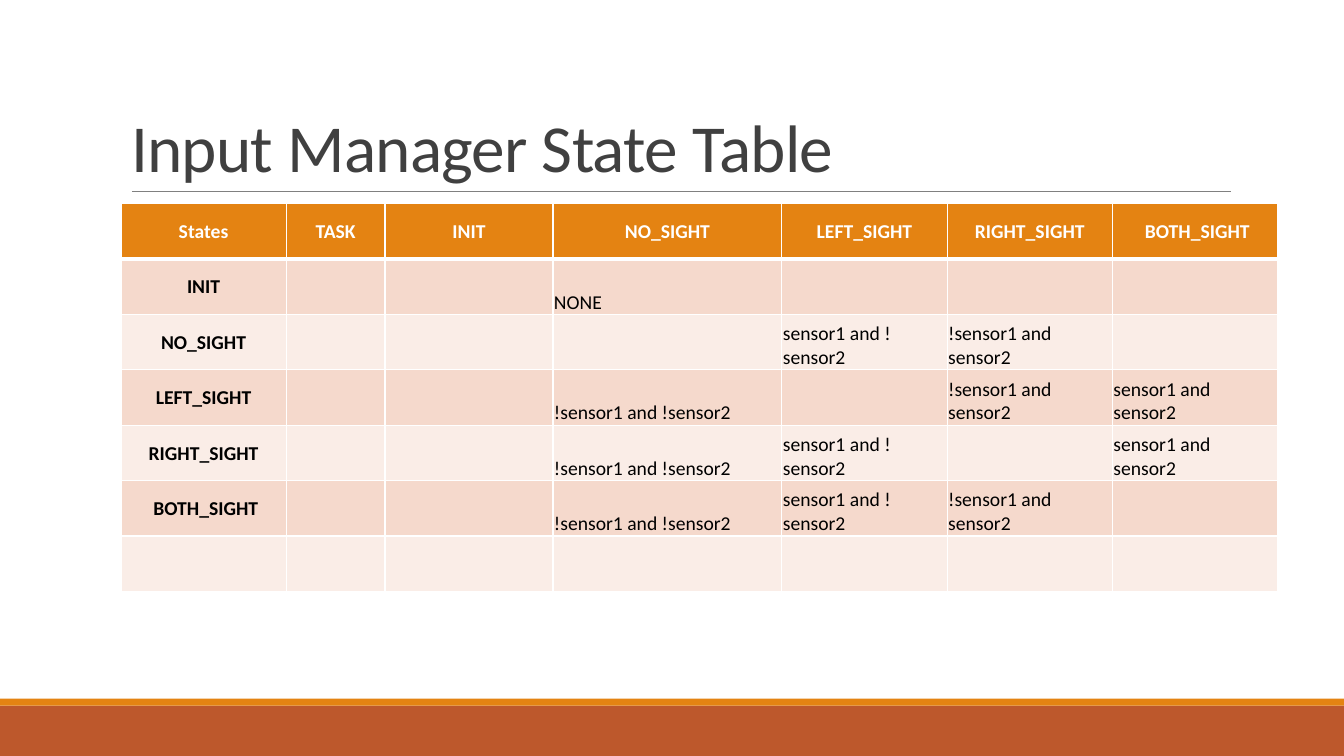
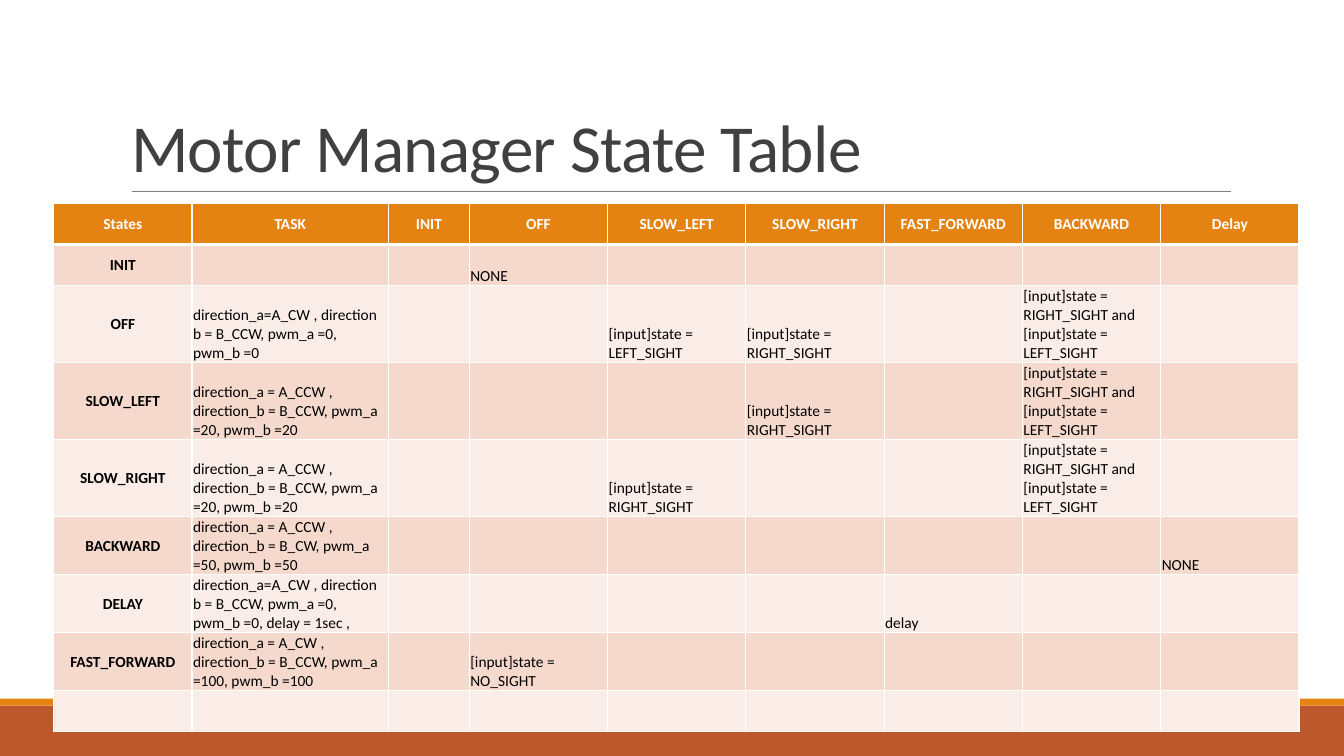
from lxml import etree
from pptx import Presentation
from pptx.dml.color import RGBColor
from pptx.enum.shapes import MSO_CONNECTOR, MSO_SHAPE
from pptx.enum.text import MSO_ANCHOR, PP_ALIGN
from pptx.oxml.ns import qn
from pptx.util import Inches, Pt

STRAIGHT = MSO_CONNECTOR.STRAIGHT
RECTANGLE = MSO_SHAPE.RECTANGLE
MIDDLE, BOTTOM = MSO_ANCHOR.MIDDLE, MSO_ANCHOR.BOTTOM
LEFT, CENTER = PP_ALIGN.LEFT, PP_ALIGN.CENTER

WHITE = RGBColor(0xFF, 0xFF, 0xFF)
BLACK = RGBColor(0x00, 0x00, 0x00)
CHARCOAL = RGBColor(0x40, 0x40, 0x40)
GRAY = RGBColor(0x80, 0x80, 0x80)
ORANGE = RGBColor(0xE4, 0x83, 0x12)
RUST = RGBColor(0xBD, 0x58, 0x2C)
PEACH = RGBColor(0xF5, 0xD9, 0xCC)
BLUSH = RGBColor(0xFA, 0xED, 0xE7)

FONT = "Calibri"
TITLE_ONLY = 5
CELL_INSET = Inches(0.01)


class Deck:
    def __init__(self):
        self.presentation = Presentation()
        self.presentation.slide_width = Inches(13.33)
        self.presentation.slide_height = Inches(7.5)
        self.slide = None

    def across(self, percent):
        return round(self.presentation.slide_width * percent / 100)

    def down(self, percent):
        return round(self.presentation.slide_height * percent / 100)

    def place(self, left, top, width, height):
        return self.across(left), self.down(top), self.across(width), self.down(height)

    def add_slide(self, title):
        layout = self.presentation.slide_layouts[TITLE_ONLY]
        self.slide = self.presentation.slides.add_slide(layout)
        self.add_band(93.33, 6.67, RUST)
        self.add_band(92.4, 0.93, ORANGE)
        self.add_rule(9.82, 91.58, 25.33)
        self.set_title(title)

    def add_band(self, top, height, color):
        band = self.slide.shapes.add_shape(RECTANGLE, *self.place(0, top, 100, height))
        band.shadow.inherit = False
        band.fill.solid()
        band.fill.fore_color.rgb = color
        band.line.fill.background()

    def add_rule(self, start, end, top):
        rule = self.slide.shapes.add_connector(
            STRAIGHT, self.across(start), self.down(top), self.across(end), self.down(top))
        rule.line.color.rgb = GRAY
        rule.line.width = Pt(0.5)
        etree.SubElement(rule._element.spPr, qn("a:effectLst"))

    def set_title(self, text):
        title = self.slide.shapes.title
        title.left, title.top, title.width, title.height = self.place(9, 4.1, 82.5, 21.2)
        title.text_frame.text = text
        title.text_frame.word_wrap = True
        title.text_frame.vertical_anchor = BOTTOM
        paragraph = title.text_frame.paragraphs[0]
        paragraph.line_spacing = 0.85
        self.format_paragraph(paragraph, 48, CHARCOAL, False, LEFT)
        paragraph.runs[0]._r.get_or_add_rPr().set("spc", "-50")

    def format_paragraph(self, paragraph, size, color, bold, alignment):
        paragraph.alignment = alignment
        font = paragraph.font
        font.name, font.size, font.bold = FONT, Pt(size), bold
        font.color.rgb = color

    def add_state_table(self, left, widths, row_height, size, headings, states):
        rows = [(headings[0], dict(enumerate(headings[1:], 1))), *states, ("", {})]
        frame = self.slide.shapes.add_table(
            len(rows), len(widths),
            *self.place(left, 26.93, sum(widths), row_height * len(rows)))
        table = frame.table
        for column, width in zip(table.columns, widths):
            column.width = self.across(width)
        for row_index, (state, entries) in enumerate(rows):
            table.rows[row_index].height = self.down(row_height)
            for column_index in range(len(widths)):
                text = entries.get(column_index, "") if column_index else state
                cell = table.cell(row_index, column_index)
                self.format_cell(cell, text, size, row_index, column_index)

    def format_cell(self, cell, text, size, row_index, column_index):
        heading = row_index == 0
        self.add_borders(cell, row_index)
        cell.fill.solid()
        cell.fill.fore_color.rgb = ORANGE if heading else (BLUSH, PEACH)[row_index % 2]
        if not text:
            return
        label = heading or column_index == 0
        cell.margin_left = cell.margin_right = cell.margin_top = CELL_INSET
        cell.margin_bottom = 0
        cell.vertical_anchor = MIDDLE if label else BOTTOM
        cell.text = text
        self.format_paragraph(cell.text_frame.paragraphs[0], size,
                              WHITE if heading else BLACK, label,
                              CENTER if label else LEFT)

    def add_borders(self, cell, row_index):
        points = {"L": 1, "R": 1,
                  "T": 3 if row_index == 1 else 1,
                  "B": 3 if row_index == 0 else 1}
        properties = cell._tc.get_or_add_tcPr()
        for side, width in points.items():
            border = etree.SubElement(properties, qn(f"a:ln{side}"), w=str(Pt(width)))
            fill = etree.SubElement(border, qn("a:solidFill"))
            etree.SubElement(fill, qn("a:srgbClr"), val=str(WHITE))

    def save(self):
        self.presentation.save("out.pptx")


LEFT_ONLY = "sensor1 and !sensor2"
RIGHT_ONLY = "!sensor1 and sensor2"
BOTH = "sensor1 and sensor2"
NEITHER = "!sensor1 and !sensor2"

INPUT_HEADINGS = ["States", "TASK", "INIT", "NO_SIGHT", "LEFT_SIGHT", "RIGHT_SIGHT",
                  " BOTH_SIGHT"]
INPUT_STATES = [
    ("INIT", {3: "NONE"}),
    ("NO_SIGHT", {4: LEFT_ONLY, 5: RIGHT_ONLY}),
    ("LEFT_SIGHT", {3: NEITHER, 5: RIGHT_ONLY, 6: BOTH}),
    ("RIGHT_SIGHT", {3: NEITHER, 4: LEFT_ONLY, 6: BOTH}),
    (" BOTH_SIGHT", {3: NEITHER, 4: LEFT_ONLY, 5: RIGHT_ONLY}),
]

SEES_LEFT = "[input]state = LEFT_SIGHT"
SEES_RIGHT = "[input]state = RIGHT_SIGHT"
SEES_BOTH = f"{SEES_RIGHT} and {SEES_LEFT}"
STOP = "direction_a=A_CW , direction b = B_CCW, pwm_a =0, pwm_b =0"
SLOW = "direction_a = A_CCW , direction_b = B_CCW, pwm_a =20, pwm_b =20"
REVERSE = "direction_a = A_CCW , direction_b = B_CW, pwm_a =50, pwm_b =50"
FAST = "direction_a = A_CW , direction_b = B_CCW, pwm_a =100, pwm_b =100"

MOTOR_HEADINGS = ["States", "TASK", "INIT", "OFF", "SLOW_LEFT", "SLOW_RIGHT",
                  "FAST_FORWARD", "BACKWARD", "Delay"]
MOTOR_STATES = [
    ("INIT", {3: "NONE"}),
    ("OFF", {1: STOP, 4: SEES_LEFT, 5: SEES_RIGHT, 7: SEES_BOTH}),
    ("SLOW_LEFT", {1: SLOW, 5: SEES_RIGHT, 7: SEES_BOTH}),
    ("SLOW_RIGHT", {1: SLOW, 4: SEES_RIGHT, 7: SEES_BOTH}),
    ("BACKWARD", {1: REVERSE, 8: "NONE"}),
    ("DELAY", {1: f"{STOP}, delay = 1sec ,", 6: "delay"}),
    ("FAST_FORWARD", {1: FAST, 3: "[input]state = NO_SIGHT"}),
]


def main():
    deck = Deck()
    deck.add_slide("Input Manager State Table")
    deck.add_state_table(9, [12.3, 7.35, 12.5, 17.03] + [12.3] * 3, 7.33, 14,
                         INPUT_HEADINGS, INPUT_STATES)
    deck.add_slide("Motor Manager State Table")
    deck.add_state_table(4, [10.29, 14.63, 6] + [10.29] * 6, 5.4, 11,
                         MOTOR_HEADINGS, MOTOR_STATES)
    deck.save()


if __name__ == "__main__":
    main()
